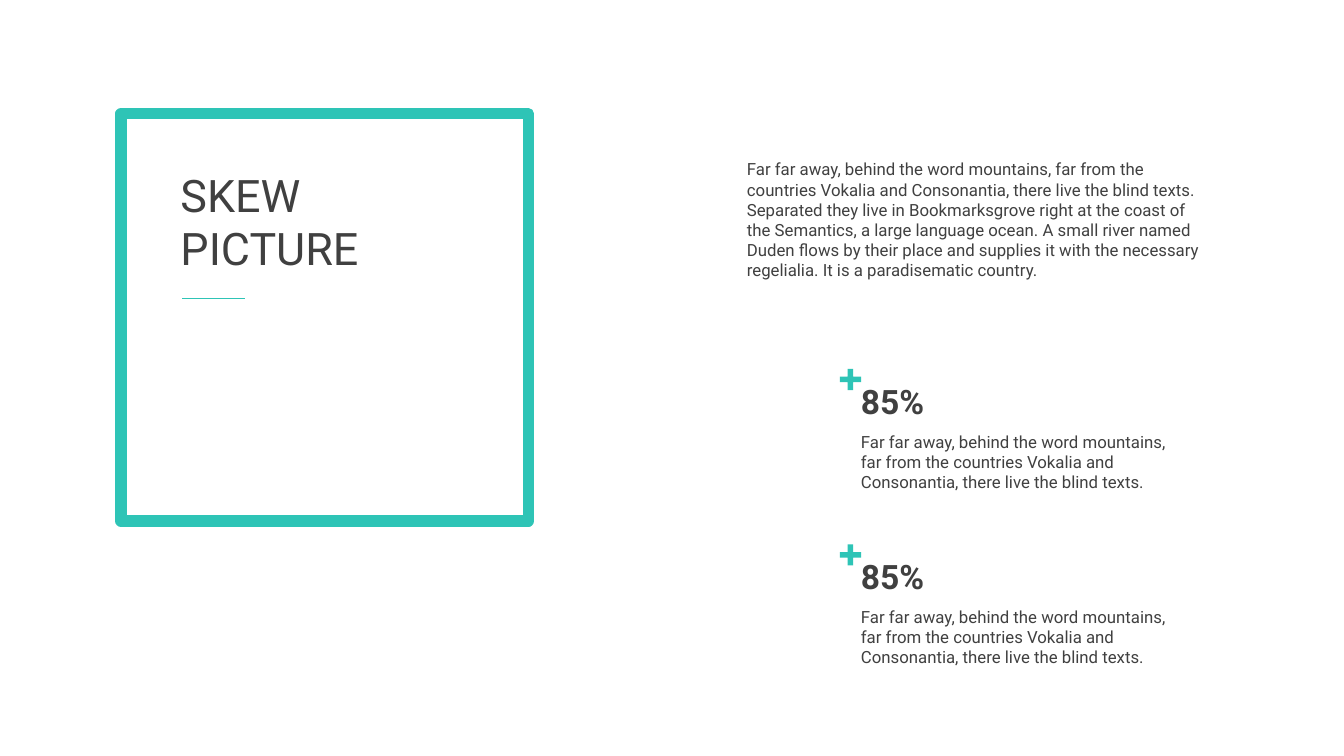
from dataclasses import dataclass

from lxml.etree import SubElement
from pptx import Presentation
from pptx.dml.color import RGBColor
from pptx.enum.shapes import MSO_CONNECTOR, MSO_SHAPE
from pptx.enum.text import MSO_ANCHOR, MSO_AUTO_SIZE, PP_ALIGN
from pptx.oxml.ns import qn
from pptx.shapes.autoshape import Shape
from pptx.slide import Slide
from pptx.util import Inches, Pt

COLORS = {"accent": "2EC4B6", "text": "404040", "background": "FFFFFF"}
FONT_NAME = "Roboto"
INTRODUCTION = (
    "Far far away, behind the word mountains, far from the countries Vokalia and "
    "Consonantia, there live the blind texts. Separated they live in Bookmarksgrove "
    "right at the coast of the Semantics, a large language ocean. A small river named "
    "Duden flows by their place and supplies it with the necessary regelialia. "
    "It is a paradisematic country."
)
STATISTIC_NOTE = (
    "Far far away, behind the word mountains, far from the countries Vokalia and "
    "Consonantia, there live the blind texts."
)


@dataclass(frozen=True)
class Box:
    left: float
    top: float
    width: float
    height: float

    def lengths(self) -> tuple[int, int, int, int]:
        return Inches(self.left), Inches(self.top), Inches(self.width), Inches(self.height)


@dataclass(frozen=True)
class Statistic:
    value: str
    note: str
    top: float


STATISTICS = [
    Statistic("85%", STATISTIC_NOTE, 3.73),
    Statistic("85%", STATISTIC_NOTE, 5.47),
]


def color(name: str) -> RGBColor:
    return RGBColor.from_string(COLORS[name])


def write_text(shape: Shape, text: str, size: int, bold: bool = False, wrap: bool = True) -> None:
    frame = shape.text_frame
    frame.text = text
    frame.word_wrap = wrap
    frame.auto_size = MSO_AUTO_SIZE.SHAPE_TO_FIT_TEXT
    frame.vertical_anchor = MSO_ANCHOR.TOP
    for paragraph in frame.paragraphs:
        paragraph.alignment = PP_ALIGN.LEFT
        paragraph.font.name = FONT_NAME
        paragraph.font.size = Pt(size)
        paragraph.font.bold = bold
        paragraph.font.color.rgb = color("text")


def add_text(slide: Slide, box: Box, text: str, size: int, bold: bool = False,
             wrap: bool = True) -> None:
    write_text(slide.shapes.add_textbox(*box.lengths()), text, size, bold, wrap)


def add_title(slide: Slide) -> None:
    title = slide.shapes.title
    title.left, title.top, title.width, title.height = Box(1.69, 1.61, 2.17, 1.18).lengths()
    write_text(title, "SKEW\nPICTURE", 32, wrap=False)


def add_frame(slide: Slide) -> None:
    frame = slide.shapes.add_shape(MSO_SHAPE.RECTANGLE, *Box(1.2, 1.13, 4.04, 4.04).lengths())
    frame.shadow.inherit = False
    frame.fill.background()
    frame.line.color.rgb = color("accent")
    frame.line.width = Pt(8)


def add_title_rule(slide: Slide) -> None:
    rule = slide.shapes.add_connector(
        MSO_CONNECTOR.STRAIGHT, Inches(1.81), Inches(2.96), Inches(2.43), Inches(2.96)
    )
    rule.line.color.rgb = color("accent")
    rule.line.width = Pt(0.5)
    SubElement(rule.element.spPr, qn("a:effectLst"))


def add_statistic(slide: Slide, statistic: Statistic) -> None:
    top = statistic.top
    add_text(slide, Box(8.44, top, 0.88, 0.5), statistic.value, 24, bold=True, wrap=False)
    add_text(slide, Box(8.44, top + 0.5, 3.39, 0.71), statistic.note, 12)
    plus = slide.shapes.add_shape(
        MSO_SHAPE.CROSS, *Box(8.33, top - 0.07, 0.21, 0.21).lengths()
    )
    plus.adjustments[0] = 0.37
    plus.shadow.inherit = False
    plus.fill.solid()
    plus.fill.fore_color.rgb = color("accent")
    plus.line.fill.background()


def main() -> None:
    """Build the slide and save the presentation."""
    presentation = Presentation()
    presentation.slide_width = Inches(13.33)
    presentation.slide_height = Inches(7.5)
    slide = presentation.slides.add_slide(presentation.slide_layouts.get_by_name("Title Only"))
    slide.background.fill.solid()
    slide.background.fill.fore_color.rgb = color("background")
    add_title(slide)
    add_frame(slide)
    add_title_rule(slide)
    add_text(slide, Box(7.31, 1.53, 4.76, 1.31), INTRODUCTION, 12)
    for statistic in STATISTICS:
        add_statistic(slide, statistic)
    presentation.save("out.pptx")


if __name__ == "__main__":
    main()
